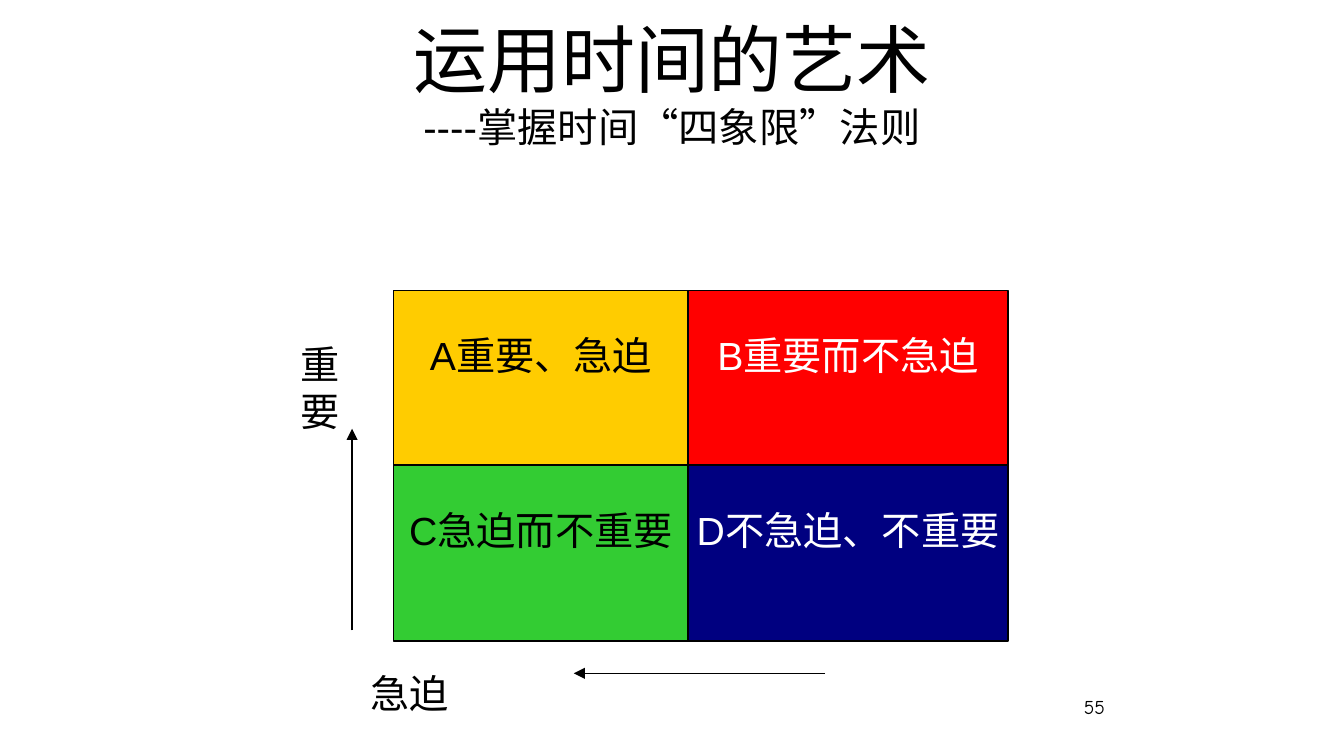
import pptx
import pptx.util
import pptx.dml.color
import pptx.enum.shapes
import pptx.enum.text
import pptx.oxml.ns
from lxml import etree

Inches = pptx.util.Inches
Pt = pptx.util.Pt
ALIGN = pptx.enum.text.PP_ALIGN
ANCHOR = pptx.enum.text.MSO_ANCHOR
BLACK, WHITE = "000000", "FFFFFF"

TITLE = [("运用时间的艺术", 39.6), ("----掌握时间“四象限”法则", 21.6)]
QUADRANTS = [
    [("A重要、急迫", "FFCC00", BLACK), ("B重要而不急迫", "FF0000", WHITE)],
    [("C急迫而不重要", "33CC33", BLACK), ("D不急迫、不重要", "000080", WHITE)],
]
AXIS_LABELS = [("重", 0.4, 0), ("要", 0.4, 0), ("急迫", 0.92, 126)]
AXIS_ARROWS = [((2.62, 4.69), (2.62, 3.19)), ((6.14, 5.01), (4.27, 5.01))]
PAGE_NUMBER = "55"

GRID_LEFT, GRID_TOP = 2.93, 2.16
COLUMN_WIDTHS = [2.19, 2.38]
ROW_HEIGHT, ROW_PITCH = 1.31, 1.3


def color(hex_code):
    return pptx.dml.color.RGBColor.from_string(hex_code)


def write(paragraph, text, size=21, font="Arial", ink=BLACK, align=ALIGN.LEFT):
    paragraph.alignment = align
    run = paragraph.add_run()
    run.text = text
    run.font.size = Pt(size)
    run.font.name = font
    run.font.color.rgb = color(ink)


def add_box(slide, place, anchor=ANCHOR.TOP):
    frame = slide.shapes.add_textbox(*map(Inches, place)).text_frame
    frame.word_wrap = True
    frame.vertical_anchor = anchor
    return frame


def add_quadrant(slide, place, label, fill, ink):
    quadrant = slide.shapes.add_shape(
        pptx.enum.shapes.MSO_SHAPE.RECTANGLE, *map(Inches, place))
    quadrant.shadow.inherit = False
    quadrant.fill.solid()
    quadrant.fill.fore_color.rgb = color(fill)
    quadrant.line.color.rgb = color(BLACK)
    quadrant.line.width = Pt(0.75)
    frame = quadrant.text_frame
    frame.word_wrap = False
    frame.vertical_anchor = ANCHOR.MIDDLE
    frame.margin_bottom = Inches(0.4)
    write(frame.paragraphs[0], label, ink=ink, align=ALIGN.CENTER)


def add_arrow(slide, start, end):
    arrow = slide.shapes.add_connector(
        pptx.enum.shapes.MSO_CONNECTOR.STRAIGHT, *map(Inches, start + end))
    arrow.line.color.rgb = color(BLACK)
    arrow.line.width = Pt(0.75)
    qn = pptx.oxml.ns.qn
    etree.SubElement(arrow.line._get_or_add_ln(), qn("a:tailEnd"), type="triangle")
    etree.SubElement(arrow._element.spPr, qn("a:effectLst"))


def main():
    deck = pptx.Presentation()
    deck.slide_width = Inches(10)
    deck.slide_height = deck.slide_width * 9 // 16
    slide = deck.slides.add_slide(deck.slide_layouts[6])

    footer = add_box(slide, (6.76, 5.12, 1.56, 0.38))
    write(footer.paragraphs[0], PAGE_NUMBER, size=10.5, font="Comic Neue", align=ALIGN.RIGHT)

    heading = add_box(slide, (0.5, 0.23, 9, 0.94), ANCHOR.BOTTOM).paragraphs[0]
    for index, (line, size) in enumerate(TITLE):
        if index:
            heading.add_line_break()
        write(heading, line, size=size, align=ALIGN.CENTER)

    axes = add_box(slide, (1.74, 2.48, 6.38, 3.28))
    for index, (label, indent, gap) in enumerate(AXIS_LABELS):
        paragraph = axes.add_paragraph() if index else axes.paragraphs[0]
        write(paragraph, label)
        paragraph._p.get_or_add_pPr().set("marL", str(Inches(indent)))
        if gap:
            paragraph.space_before = Pt(gap)

    for row, quadrants in enumerate(QUADRANTS):
        for column, (label, fill, ink) in enumerate(quadrants):
            left = GRID_LEFT + sum(COLUMN_WIDTHS[:column])
            top = GRID_TOP + row * ROW_PITCH
            place = (left, top, COLUMN_WIDTHS[column], ROW_HEIGHT)
            add_quadrant(slide, place, label, fill, ink)

    for start, end in AXIS_ARROWS:
        add_arrow(slide, start, end)

    deck.save("out.pptx")


if __name__ == "__main__":
    main()
